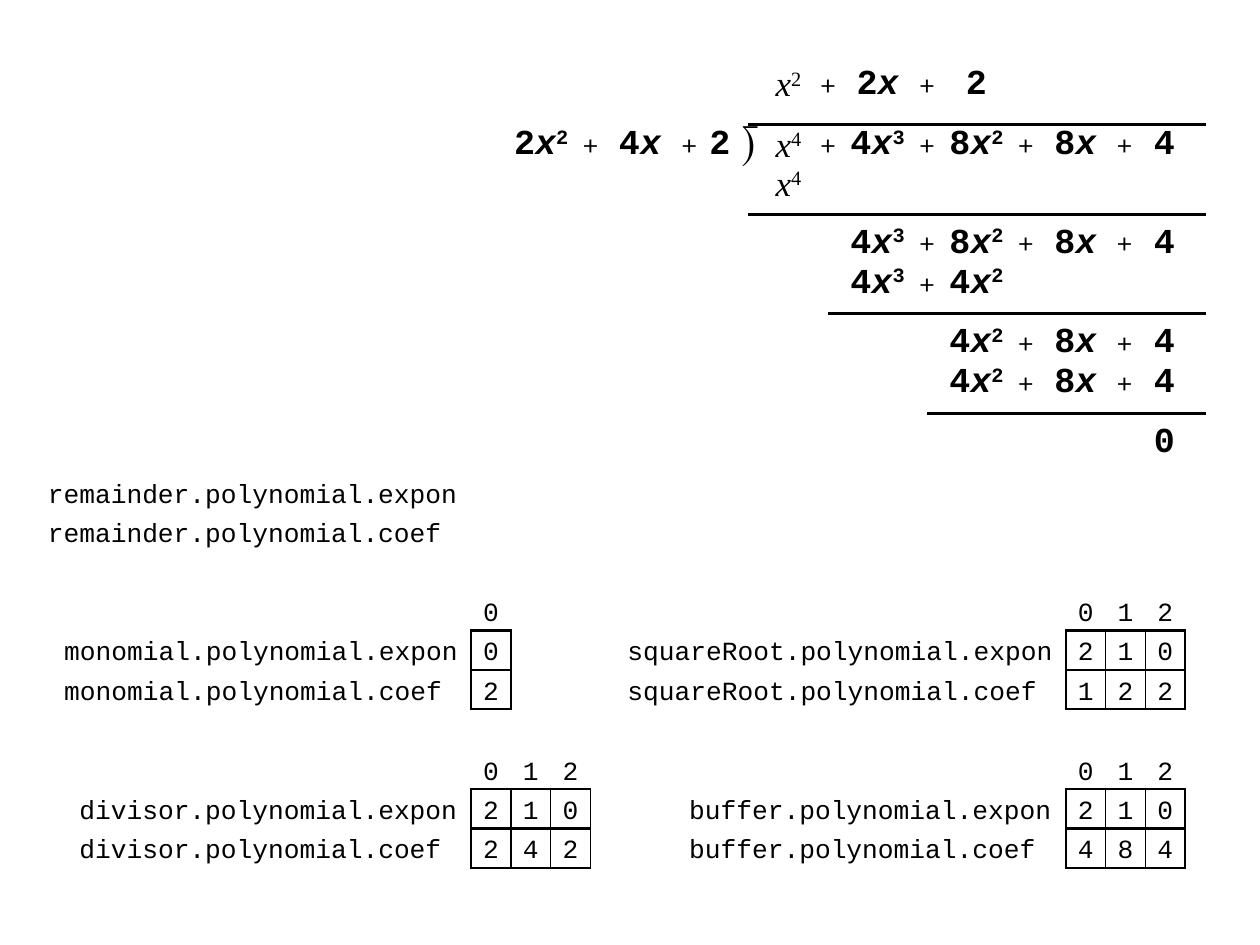
from pptx import Presentation
from pptx import util as u
from pptx.dml.color import RGBColor
from pptx.enum import shapes, text
from pptx.oxml import parse_xml
from pptx.oxml.ns import nsdecls, qn
from lxml import etree

INK = "000000"
NO_STYLE = "{2D5ABB26-0587-4C30-8999-92F81FD0307C}"
CELL = 0.315    # narrow column and array row
TERM = 0.47     # column of a term such as 4x^3, and row of the division
STEP_COLUMNS = [CELL, CELL] + [TERM, CELL] * 3 + [CELL]
DIVISOR_COLUMNS = [TERM, CELL, TERM, CELL, CELL]


def color(hex_string):
    return RGBColor.from_string(hex_string)


def add_plain_table(slide, left, top, columns, rows):
    """Table without style, fills or margins."""
    frame = slide.shapes.add_table(
        len(rows), len(columns), u.Inches(left), u.Inches(top),
        u.Inches(sum(columns)), u.Inches(sum(rows)))
    table = frame.table
    table.first_row = table.horz_banding = False
    table._tbl.tblPr.find(qn("a:tableStyleId")).text = NO_STYLE
    for column, width in zip(table.columns, columns):
        column.width = u.Inches(width)
    for row, height in zip(table.rows, rows):
        row.height = u.Inches(height)
    for cell in table.iter_cells():
        cell.fill.background()
        cell.vertical_anchor = text.MSO_ANCHOR.MIDDLE
        cell.margin_left = cell.margin_right = 0
        cell.margin_top = cell.margin_bottom = 0
    return table


def add_run(paragraph, content, size, font_name, bold=False, italic=False):
    run = paragraph.add_run()
    run.text = content
    run.font.size = u.Pt(size)
    run.font.name = font_name
    run.font.bold = bold
    run.font.italic = italic
    run.font.color.rgb = color(INK)
    return run


def set_borders(cell, widths):
    """Draw the cell's sides; widths maps L, R, T, B to points, in that order."""
    properties = cell._tc.get_or_add_tcPr()
    for index, (side, width) in enumerate(widths.items()):
        properties.insert(index, parse_xml(
            f'<a:ln{side} {nsdecls("a")} w="{u.Pt(width)}"><a:solidFill>'
            f'<a:srgbClr val="{INK}"/></a:solidFill></a:ln{side}>'))


# Polynomial arrays
def write_code(cell, content, centered=True):
    paragraph = cell.text_frame.paragraphs[0]
    paragraph.line_spacing = 1.25
    if centered:
        paragraph.alignment = text.PP_ALIGN.CENTER
    add_run(paragraph, content, 15, "Courier New")


def add_array(slide, left, top, label_width, indent, name, exponents, coefficients):
    """Index row above the exponent and coefficient rows of one polynomial."""
    columns = [label_width] + [CELL] * len(exponents)
    table = add_plain_table(slide, left, top, columns, [CELL - 0.002] * 3)
    for index in range(len(exponents)):
        write_code(table.cell(0, index + 1), str(index))
    for row, (field, values) in enumerate(
            [("expon", exponents), ("coef", coefficients)], start=1):
        label = table.cell(row, 0)
        label.margin_left, label.margin_right = u.Inches(indent), u.Inches(0.1)
        write_code(label, f"{name}.polynomial.{field}", centered=False)
        for column, value in enumerate(values, start=1):
            cell = table.cell(row, column)
            write_code(cell, str(value))
            set_borders(cell, {"L": 1.5 if column == 1 else 1, "R": 1,
                               "T": 1.5, "B": 1.5})


# Long division
def write_term(cell, term):
    """Write '+', or a term such as 4x^3 with its power raised."""
    paragraph = cell.text_frame.paragraphs[0]
    paragraph.alignment = text.PP_ALIGN.CENTER
    if term == "+":
        add_run(paragraph, term, 18, "Cambria")
        return
    base, _, power = term.partition("^")
    leading = base == "x"
    font_name = "Times New Roman" if leading else "Courier New"
    for letter in base:
        add_run(paragraph, letter, 20, font_name, not leading, letter == "x")
    if power:
        run = add_run(paragraph, power, 20, font_name, not leading)
        run.font._element.set("baseline", "30000")


def add_expression(slide, left, top, columns, terms, first_column=0):
    table = add_plain_table(slide, left, top, columns, [TERM])
    for column, term in enumerate(terms.split(), start=first_column):
        write_term(table.cell(0, column), term)
    return table


def add_rule(slide, left, right, top):
    line = slide.shapes.add_connector(
        shapes.MSO_CONNECTOR.STRAIGHT, u.Inches(left), u.Inches(top),
        u.Inches(right), u.Inches(top))
    line.line.color.rgb = color(INK)
    line.line.width = u.Pt(1.5)
    etree.SubElement(line._element.spPr, qn("a:effectLst"))


def add_division_sign(slide, left, top):
    box = slide.shapes.add_textbox(
        u.Inches(left), u.Inches(top), u.Inches(CELL), u.Inches(TERM))
    frame = box.text_frame
    frame.word_wrap = False
    frame.margin_left = frame.margin_right = frame.margin_bottom = 0
    frame.margin_top = u.Inches(0.05)
    paragraph = frame.paragraphs[0]
    paragraph.alignment = text.PP_ALIGN.CENTER
    add_run(paragraph, "⟌", 24, "Cambria")


def add_division(slide, left, top):
    """Quotient, dividend and steps from left; divisor on the left side."""
    steps = [  # offset from the top, first column, terms
        (0, 0, "x^2 + 2x + 2"),
        (0.48, 0, "x^4 + 4x^3 + 8x^2 + 8x + 4"),
        (0.79, 0, "x^4"),
        (1.26, 2, "4x^3 + 8x^2 + 8x + 4"),
        (1.58, 2, "4x^3 + 4x^2"),
        (2.05, 4, "4x^2 + 8x + 4"),
        (2.37, 4, "4x^2 + 8x + 4"),
        (2.84, 8, "0"),
    ]
    for offset, first_column, terms in steps:
        add_expression(slide, left, top + offset, STEP_COLUMNS, terms, first_column)

    divisor = add_expression(slide, left - 2.04, top + 0.48, DIVISOR_COLUMNS,
                             "2x^2 + 4x + 2")
    last_term = divisor.cell(0, len(DIVISOR_COLUMNS) - 1)
    last_term.text_frame.paragraphs[0].alignment = text.PP_ALIGN.LEFT

    for start, offset in [(-0.16, 0.55), (-0.16, 1.26), (0.47, 2.05), (1.26, 2.84)]:
        add_rule(slide, left + start, left + 3.47, top + offset)
    add_division_sign(slide, left - 0.31, top + 0.48)


def main():
    presentation = Presentation()
    presentation.slide_width = u.Inches(10)
    presentation.slide_height = u.Inches(7.5)
    slide = presentation.slides.add_slide(presentation.slide_layouts[6])

    add_division(slide, 6.1, 0.44)
    add_array(slide, 0.28, 3.44, 3.46, 0.1, "remainder", [], [])
    add_array(slide, 0.43, 4.69, 3.31, 0.08, "monomial", [0], [2])
    add_array(slide, 4.84, 4.69, 3.62, 0.14, "squareRoot", [2, 1, 0], [1, 2, 2])
    add_array(slide, 0.59, 5.95, 3.15, 0.04, "divisor", [2, 1, 0], [2, 4, 2])
    add_array(slide, 5.31, 5.95, 3.15, 0.16, "buffer", [2, 1, 0], [4, 8, 4])

    presentation.save("out.pptx")


if __name__ == "__main__":
    main()
